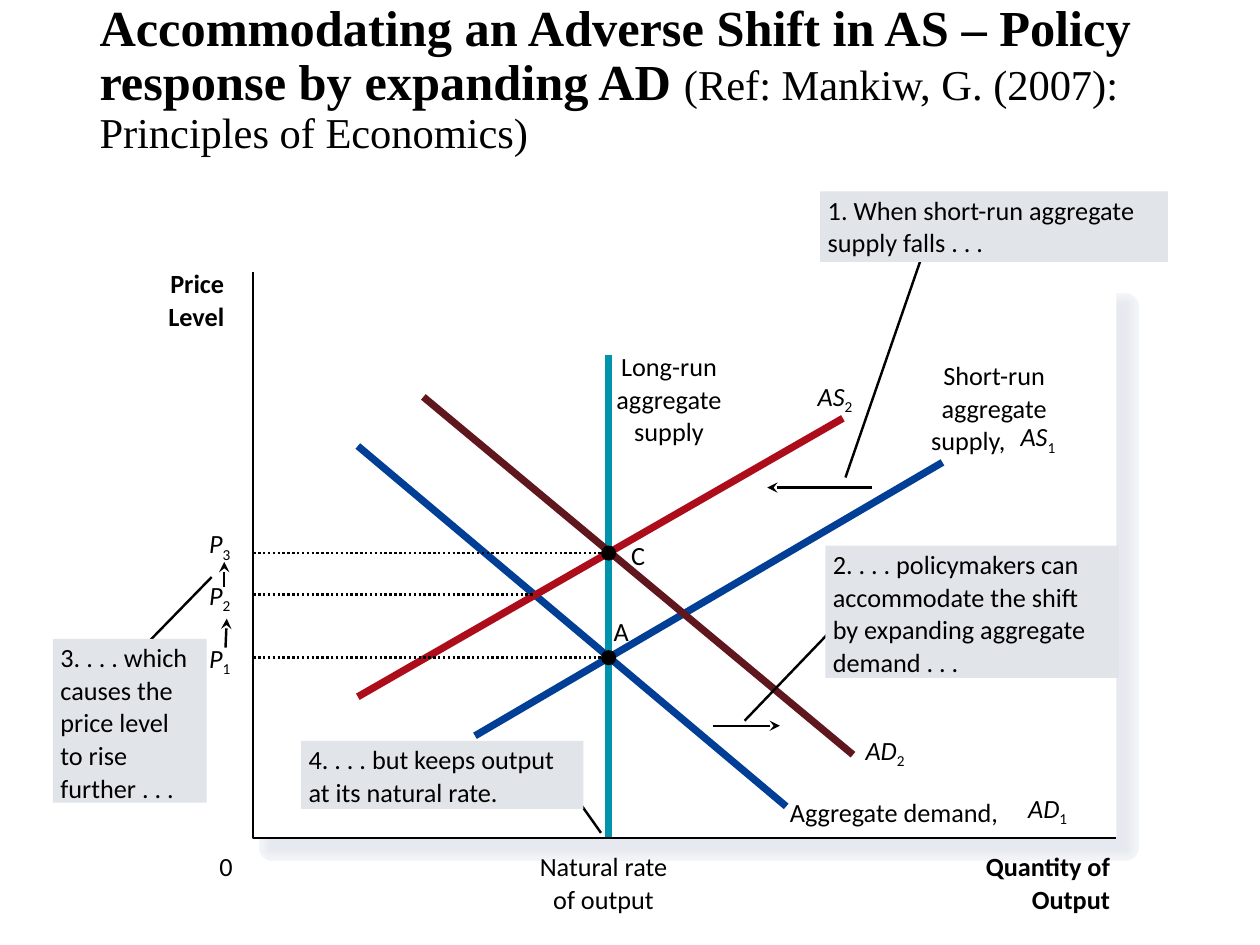
from pptx import Presentation
from pptx import util as u
from pptx.dml import color
from pptx.enum import dml, shapes, text
from pptx.oxml import ns
from lxml import etree

BLACK, WHITE, CALLOUT_GREY = "000000", "FFFFFF", "E1E5E9"
TEAL, BLUE, RED, MAROON = "0094AC", "003F95", "AD0D1B", "5F161D"
SHADOW_TINTS = ("F3F6F9", "F2F4F8", "F1F4F7", "F0F2F5", "EEF1F4", "EDEFF3",
                "EBEEF2", "EAECF1", "E9EBF0", "E7EAEF", "E6E9EF")
THIN, THICK = 1.38, 4.13
LEFT, CENTER, RIGHT = text.PP_ALIGN.LEFT, text.PP_ALIGN.CENTER, text.PP_ALIGN.RIGHT


def rgb(value):
    return color.RGBColor.from_string(value)


def add_text(paragraph, content, size=15, font="Calibri", bold=False, italic=False, subscript=False):
    run = paragraph.add_run()
    run.text = content
    run.font.size, run.font.name = u.Pt(size), font
    run.font.bold, run.font.italic = bold, italic
    run.font.color.rgb = rgb(BLACK)
    if subscript:
        run._r.get_or_add_rPr().set("baseline", "-25000")


def prepare_frame(shape, left=0, top=0):
    frame = shape.text_frame
    frame.word_wrap = True
    frame.vertical_anchor = text.MSO_ANCHOR.TOP
    frame.margin_left, frame.margin_top = u.Inches(left), u.Inches(top)
    frame.margin_right = frame.margin_bottom = 0
    return frame


def add_lines(frame, lines, align=LEFT, **style):
    for number, line in enumerate(lines):
        paragraph = frame.add_paragraph() if number else frame.paragraphs[0]
        paragraph.alignment = align
        paragraph.line_spacing = u.Pt(18.7)
        add_text(paragraph, line, **style)


def add_block(slide, kind, left, top, width, height, fill, outline=None):
    shape = slide.shapes.add_shape(kind, *map(u.Inches, (left, top, width, height)))
    shape.shadow.inherit = False
    shape.fill.solid()
    shape.fill.fore_color.rgb = rgb(fill)
    if outline:
        shape.line.color.rgb, shape.line.width = rgb(fill), u.Pt(outline)
    else:
        shape.line.fill.background()
    return shape


def add_line(slide, start, end, tint=BLACK, width=THIN, dotted=False, arrow=False):
    line = slide.shapes.add_connector(shapes.MSO_CONNECTOR.STRAIGHT, *map(u.Inches, start + end))
    line.line.color.rgb, line.line.width = rgb(tint), u.Pt(width)
    if dotted:
        line.line.dash_style = dml.MSO_LINE.ROUND_DOT
    if arrow:
        tail = etree.SubElement(line.line._get_or_add_ln(), ns.qn("a:tailEnd"))
        tail.set("type", "stealth")
    etree.SubElement(line._element.spPr, ns.qn("a:effectLst"))


def add_label(slide, left, top, width, lines, align=LEFT, subscript=None, **style):
    height = 0.26 * len(lines)
    box = slide.shapes.add_textbox(*map(u.Inches, (left, top, width, height)))
    frame = prepare_frame(box)
    add_lines(frame, lines, align, **style)
    if subscript:
        add_text(frame.paragraphs[-1], subscript, subscript=True)


def add_callout(slide, left, top, width, height, lines, start, end):
    add_line(slide, start, end)
    block = add_block(slide, shapes.MSO_SHAPE.RECTANGLE, left, top, width, height, CALLOUT_GREY)
    add_lines(prepare_frame(block, 0.06, 0.01), lines)


def add_title(slide, left, top, width, height):
    title = slide.shapes.title
    title.left, title.top, title.width, title.height = map(u.Inches, (left, top, width, height))
    frame = title.text_frame
    frame.word_wrap, frame.auto_size = True, text.MSO_AUTO_SIZE.NONE
    frame.vertical_anchor = text.MSO_ANCHOR.MIDDLE
    paragraph = frame.paragraphs[0]
    paragraph.alignment, paragraph.line_spacing = LEFT, 0.9
    add_text(paragraph, "Accommodating an Adverse Shift in AS – Policy response by expanding AD ",
             size=28.8, font="Times New Roman", bold=True)
    add_text(paragraph, "(Ref: Mankiw, G. (2007): Principles of Economics)",
             size=24.3, font="Times New Roman")


def add_panel(slide, left, top, width, height):
    rectangle = shapes.MSO_SHAPE.RECTANGLE
    for number, tint in enumerate(SHADOW_TINTS):
        add_block(slide, rectangle, left + 0.15, top + 0.27, width - 0.08, height - 0.19,
                  tint, outline=1.4 * (len(SHADOW_TINTS) - number))
    add_block(slide, rectangle, left, top, width, height, WHITE)


def add_axes(slide, left, top, width, height):
    builder = slide.shapes.build_freeform(u.Inches(left), u.Inches(top))
    corners = [(left, top + height), (left + width, top + height)]
    builder.add_line_segments([tuple(map(u.Inches, corner)) for corner in corners], close=False)
    axes = builder.convert_to_shape()
    axes.shadow.inherit = False
    axes.fill.background()
    axes.line.color.rgb, axes.line.width = rgb(BLACK), u.Pt(THIN)


def add_curves(slide, left, top, width, height):
    def at(x, y):
        return left + x, top + y

    natural_rate = 2.82
    for start, end, tint in (
        ((natural_rate, 0.66), (natural_rate, height), TEAL),
        ((4.23, 4.24), (0.83, 1.38), BLUE),
        ((1.76, 3.68), (5.47, 1.51), BLUE),
        ((0.83, 3.37), (4.68, 1.16), RED),
        ((4.76, 3.83), (1.35, 0.99), MAROON),
    ):
        add_line(slide, at(*start), at(*end), tint, THICK)
    for level, reach in ((2.23, natural_rate), (2.56, 2.22), (3.06, natural_rate)):
        add_line(slide, at(0, level), at(reach, level), dotted=True)
    for level in (2.23, 3.06):
        add_block(slide, shapes.MSO_SHAPE.OVAL, *at(natural_rate - 0.06, level - 0.06), 0.12, 0.12, BLACK)
    for start, end in (
        ((4.91, 1.71), (4.08, 1.71)),
        ((3.65, 3.6), (4.18, 3.6)),
        ((-0.22, 2.98), (-0.21, 2.75)),
        ((-0.23, 2.5), (-0.23, 2.3)),
    ):
        add_line(slide, at(*start), at(*end), arrow=True)


def add_labels(slide, left, top, width, height):
    below = height + 0.09
    for x, y, size, lines, align, bold in (
        (-0.9, -0.05, 0.67, ["Price", "Level"], RIGHT, True),
        (5.57, below, 1.23, ["Quantity of", "Output"], RIGHT, True),
        (2.18, below, 1.2, ["Natural rate", "of output"], CENTER, False),
        (-0.27, below, 0.21, ["0"], LEFT, False),
        (2.8, 0.61, 1, ["Long-run", "aggregate", "supply"], CENTER, False),
        (5.38, 0.68, 1, ["Short-run", "aggregate"], CENTER, False),
        (5.38, 1.2, 0.79, ["supply,"], LEFT, False),
        (4.26, 4.15, 1.9, ["Aggregate demand,"], LEFT, False),
        (2.86, 2.71, 0.23, ["A"], LEFT, False),
        (3, 2.11, 0.24, ["C"], LEFT, False),
    ):
        add_label(slide, left + x, top + y, size, lines, align, bold=bold)
    for x, y, name, subscript in (
        (-0.35, 2.05, "P", "3"), (-0.35, 2.46, "P", "2"), (-0.35, 2.96, "P", "1"),
        (6.09, 1.2, "AS", "1"), (4.48, 0.88, "AS", "2"),
        (6.15, 4.15, "AD", "1"), (4.86, 3.69, "AD", "2"),
    ):
        add_label(slide, left + x, top + y, 0.2 + 0.2 * len(name), [name],
                  subscript=subscript, italic=True)


def add_callouts(slide, left, top, width, height):
    for x, y, size, depth, lines, start, end in (
        (4.5, -0.64, 2.76, 0.56, ["1. When short-run aggregate", "supply falls . . ."],
         (4.7, 1.63), (5.35, -0.25)),
        (4.54, 2.17, 2.33, 1.05,
         ["2. . . . policymakers can", "accommodate the shift", "by expanding aggregate", "demand . . ."],
         (4.6, 2.83), (3.9, 3.56)),
        (-1.59, 2.91, 1.22, 1.3,
         ["3. . . . which", "causes the", "price level", "to rise", "further . . ."],
         (-0.33, 2.42), (-1.07, 3.18)),
        (0.38, 3.72, 2.24, 0.54, ["4. . . . but keeps output", "at its natural rate."],
         (2.76, 4.45), (2.42, 3.97)),
    ):
        add_callout(slide, left + x, top + y, size, depth, lines,
                    (left + start[0], top + start[1]), (left + end[0], top + end[1]))


def main():
    presentation = Presentation()
    presentation.slide_width, presentation.slide_height = u.Inches(10), u.Inches(7.5)
    slide = presentation.slides.add_slide(presentation.slide_layouts[5])
    add_title(slide, 0.69, -0.09, 8.62, 1.45)
    plot = (2.01, 2.16, 6.85, 4.49)
    for add_region in (add_panel, add_curves, add_axes, add_labels, add_callouts):
        add_region(slide, *plot)
    presentation.save("out.pptx")


if __name__ == "__main__":
    main()
